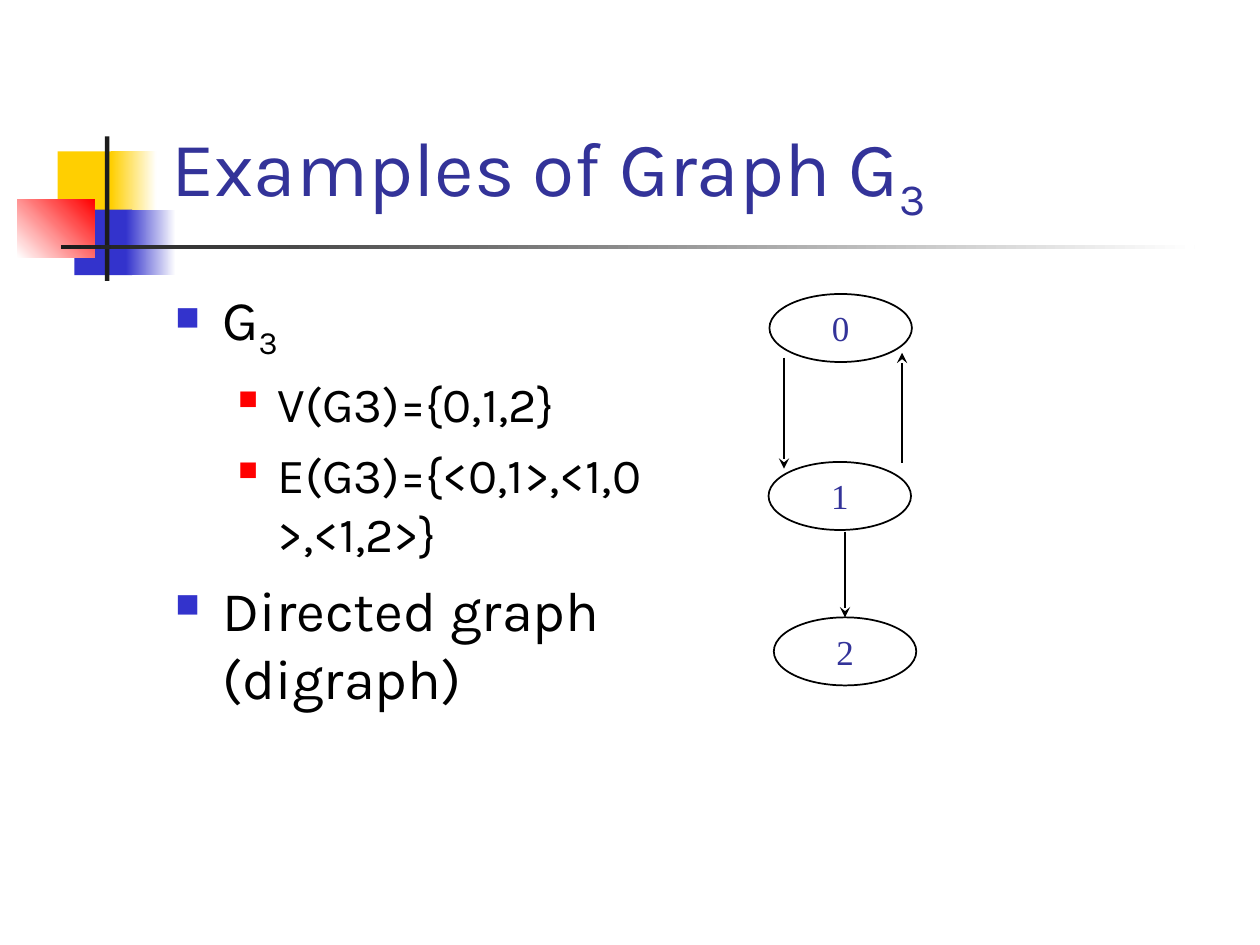
from lxml.etree import SubElement
from pptx import Presentation
from pptx.dml.color import RGBColor
from pptx.enum.shapes import MSO_CONNECTOR, MSO_SHAPE
from pptx.enum.text import MSO_ANCHOR, PP_ALIGN
from pptx.oxml.ns import qn
from pptx.util import Pt

YELLOW = RGBColor(0xFF, 0xCF, 0x01)
BLUE = RGBColor(0x33, 0x33, 0xCC)
RED = RGBColor(0xFF, 0x00, 0x00)
CHARCOAL = RGBColor(0x1C, 0x1C, 0x1C)
INDIGO = RGBColor(0x33, 0x33, 0x99)
BLACK = RGBColor(0x00, 0x00, 0x00)
WHITE = RGBColor(0xFF, 0xFF, 0xFF)

TEXT_FONT = "Karla"
NODE_FONT = "Times New Roman"
NODE_WIDTH, NODE_HEIGHT = 81.4, 38.9

# Bullet levels: size, left margin, hanging indent, space before, bullet colour, bullet %
LEVELS = [
    (32, 27, 27, 8, BLUE, 60),
    (28, 58.5, 22.5, 7, RED, 55),
]


def add_bar(slide, left, top, width, height, start, end=None, angle=0):
    """Borderless rectangle, plain or fading from start to end."""
    bar = slide.shapes.add_shape(
        MSO_SHAPE.RECTANGLE, Pt(left), Pt(top), Pt(width), Pt(height))
    bar.shadow.inherit = False
    bar.line.fill.background()
    if end is None:
        bar.fill.solid()
        bar.fill.fore_color.rgb = start
    else:
        bar.fill.gradient()
        bar.fill.gradient_angle = angle
        for stop, color in zip(bar.fill.gradient_stops, (start, end)):
            stop.color.rgb = color


def add_run(paragraph, text, size, color, font=TEXT_FONT, subscript=False):
    run = paragraph.add_run()
    run.text = text
    run.font.size = Pt(size)
    run.font.name = font
    run.font.color.rgb = color
    if subscript:
        run.font._element.set("baseline", "-25000")


def add_text_frame(slide, left, top, width, height, anchor):
    frame = slide.shapes.add_textbox(
        Pt(left), Pt(top), Pt(width), Pt(height)).text_frame
    frame.word_wrap = True
    frame.vertical_anchor = anchor
    return frame


def set_bullet(paragraph, left, hanging, color, percent):
    props = paragraph._p.get_or_add_pPr()
    props.set("marL", str(Pt(left)))
    props.set("indent", str(-Pt(hanging)))
    bullet_color = SubElement(props, qn("a:buClr"))
    SubElement(bullet_color, qn("a:srgbClr"), val=str(color))
    SubElement(props, qn("a:buSzPct"), val=str(percent * 1000))
    SubElement(props, qn("a:buChar"), char="■")


def add_bullets(frame, items):
    for index, (level, text, subscript) in enumerate(items):
        size, left, hanging, space, color, percent = LEVELS[level]
        paragraph = frame.add_paragraph() if index else frame.paragraphs[0]
        paragraph.level = level
        set_bullet(paragraph, left, hanging, color, percent)
        if index:
            paragraph.space_before = Pt(space)
        add_run(paragraph, text, size, BLACK)
        if subscript:
            add_run(paragraph, subscript, size, BLACK, subscript=True)


def add_node(slide, label, left, top):
    node = slide.shapes.add_shape(
        MSO_SHAPE.OVAL, Pt(left), Pt(top), Pt(NODE_WIDTH), Pt(NODE_HEIGHT))
    node.shadow.inherit = False
    node.fill.solid()
    node.fill.fore_color.rgb = WHITE
    node.line.color.rgb = BLACK
    node.line.width = Pt(1)
    frame = node.text_frame
    frame.word_wrap = False
    frame.vertical_anchor = MSO_ANCHOR.MIDDLE
    paragraph = frame.paragraphs[0]
    paragraph.alignment = PP_ALIGN.CENTER
    add_run(paragraph, label, 20, INDIGO, NODE_FONT)
    return node


def add_edge(slide, x, start_y, end_y):
    edge = slide.shapes.add_connector(
        MSO_CONNECTOR.STRAIGHT, Pt(x), Pt(start_y), Pt(x), Pt(end_y))
    edge.line.color.rgb = BLACK
    edge.line.width = Pt(1)
    SubElement(edge.line._get_or_add_ln(), qn("a:tailEnd"), type="stealth")
    SubElement(edge._element.spPr, qn("a:effectLst"))
    return edge


def add_ornament(slide):
    add_bar(slide, 33, 86.5, 34.5, 37.5, YELLOW)
    add_bar(slide, 63.5, 86.5, 26, 37.5, YELLOW, WHITE)
    add_bar(slide, 42.5, 119.75, 33, 37.5, BLUE)
    add_bar(slide, 72, 119.75, 28.5, 37.5, BLUE, WHITE)
    add_bar(slide, 10, 113.75, 44, 33.5, WHITE, RED, 45)
    add_bar(slide, 60, 78, 2.5, 82.5, CHARCOAL)
    add_bar(slide, 34.75, 140, 648, 2.5, CHARCOAL, WHITE)


def main():
    presentation = Presentation()
    presentation.slide_width, presentation.slide_height = Pt(720), Pt(540)
    slide = presentation.slides.add_slide(presentation.slide_layouts[6])

    # Squares and rules beside the title
    add_ornament(slide)

    # Title
    title = add_text_frame(slide, 90.75, 16.5, 613.5, 115.5, MSO_ANCHOR.BOTTOM)
    add_run(title.paragraphs[0], "Examples of Graph G", 44, INDIGO)
    add_run(title.paragraphs[0], "3", 44, INDIGO, subscript=True)

    # Definition of the graph
    definition = add_text_frame(slide, 93, 159, 283.5, 324, MSO_ANCHOR.TOP)
    add_bullets(definition, [
        (0, "G", "3"),
        (1, "V(G3)={0,1,2}", None),
        (1, "E(G3)={<0,1>,<1,0>,<1,2>}", None),
        (0, "Directed graph (digraph)", None),
    ])

    # Nodes and directed edges
    add_node(slide, "0", 439.7, 168)
    add_node(slide, "1", 439.2, 264)
    node_2 = add_node(slide, "2", 442.2, 352.8)
    edge_1_2 = add_edge(slide, 482.9, 303.8, 352.8)
    edge_1_2.end_connect(node_2, 0)
    add_edge(slide, 515.5, 264.4, 201.6)
    add_edge(slide, 448, 204.4, 267.8)

    presentation.save("out.pptx")


if __name__ == "__main__":
    main()
